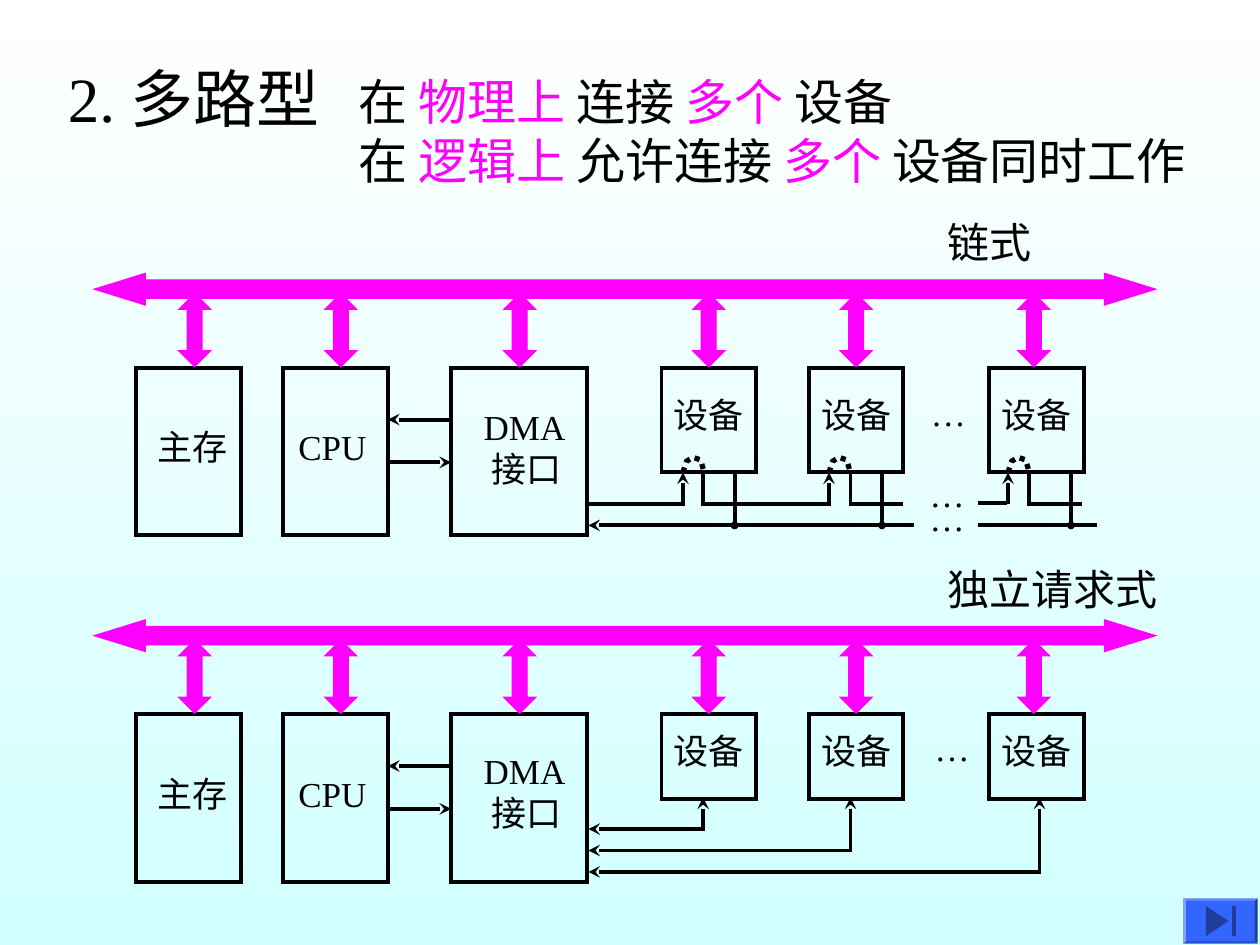
from dataclasses import dataclass

from lxml import etree
from pptx import Presentation
from pptx import util as u
from pptx.dml.color import RGBColor
from pptx.enum import dml, shapes, text
from pptx.oxml.ns import qn
from pptx.shapes.autoshape import Shape
from pptx.slide import Slide

COLOURS = {"ink": "000000", "bus": "FF00FF", "button": "3366FF", "icon": "1F3D99",
           "sky": "FFFFFF", "water": "D2FFFF"}
FONT = "Times New Roman"
SHIFT = 2.75
DEVICE_LEFTS = (5.25, 6.42, 7.85)
BRANCH_LEFTS = (1.42, 2.58, 4, 5.5, 6.67, 8.08)
CHIP_LEFTS = (5.42, 6.58, 8)
TAP_LEFTS = (5.83, 7, 8.5)


@dataclass(frozen=True)
class Span:
    """A piece of text in one colour."""
    words: str
    colour: str = "ink"


@dataclass(frozen=True)
class Label:
    """A text box; each line is a tuple of spans."""
    left: float
    top: float
    width: float
    height: float
    lines: tuple[tuple[Span, ...], ...]
    size: int = 20
    wrap: bool = False


@dataclass(frozen=True)
class Wire:
    """A line through points, with optional end marks."""
    points: tuple[tuple[float, float], ...]
    head: str = ""
    tail: str = ""
    dotted: bool = False


@dataclass(frozen=True)
class Diagram:
    """One way of attaching devices to the DMA interface."""
    shift: float
    device_height: float
    labels: tuple[Label, ...]
    wires: tuple[Wire, ...]


def colour(name: str) -> RGBColor:
    """Look up a named colour."""
    return RGBColor.from_string(COLOURS[name])


def plain(words: str) -> tuple[Span, ...]:
    """Make a line of a single black span."""
    return (Span(words),)


def add_label(page: Slide, label: Label) -> None:
    """Draw a text box span by span."""
    box = page.shapes.add_textbox(*map(u.Inches, (label.left, label.top, label.width, label.height)))
    frame = box.text_frame
    frame.word_wrap = label.wrap
    frame.auto_size = text.MSO_AUTO_SIZE.SHAPE_TO_FIT_TEXT
    for index, line in enumerate(label.lines):
        para = frame.add_paragraph() if index else frame.paragraphs[0]
        for piece in line:
            span = para.add_run()
            span.text = piece.words
            span.font.name = FONT
            span.font.size = u.Pt(label.size)
            span.font.color.rgb = colour(piece.colour)


def set_outline(shape: Shape, name: str, width: float) -> etree.ElementBase:
    """Give a shape a solid outline with sharp corners and return its element."""
    shape.line.color.rgb = colour(name)
    shape.line.width = u.Pt(width)
    outline = shape._element.spPr.find(qn("a:ln"))
    etree.SubElement(outline, qn("a:miter")).set("lim", "800000")
    return outline


def add_wire(page: Slide, wire: Wire, shift: float = 0) -> None:
    """Draw a straight connector or an open bent line."""
    points = [(u.Inches(x), u.Inches(y + shift)) for x, y in wire.points]
    if len(points) == 2:
        shape = page.shapes.add_connector(shapes.MSO_CONNECTOR.STRAIGHT, *points[0], *points[1])
    else:
        builder = page.shapes.build_freeform(*points[0])
        builder.add_line_segments(points[1:], close=False)
        shape = builder.convert_to_shape()
        shape.fill.background()
    outline = set_outline(shape, "ink", 3 if wire.dotted else 2.25)
    if wire.dotted:
        shape.line.dash_style = dml.MSO_LINE.ROUND_DOT
    for tag, mark in (("a:headEnd", wire.head), ("a:tailEnd", wire.tail)):
        if mark:
            end = etree.SubElement(outline, qn(tag), type=mark)
            if mark == "oval":
                end.set("w", "sm")
                end.set("len", "sm")
    etree.SubElement(shape._element.spPr, qn("a:effectLst"))


def add_block(page: Slide, left: float, top: float, width: float, height: float) -> None:
    """Draw an unfilled unit rectangle."""
    block = page.shapes.add_shape(
        shapes.MSO_SHAPE.RECTANGLE, *map(u.Inches, (left, top, width, height)))
    block.shadow.inherit = False
    block.fill.background()
    set_outline(block, "ink", 2.25)


def add_solid(page: Slide, kind: shapes.MSO_SHAPE, place: tuple[float, ...], name: str,
              adjustments: tuple[float, ...] = ()) -> Shape:
    """Draw a filled preset shape without an outline."""
    solid = page.shapes.add_shape(kind, *map(u.Inches, place))
    solid.shadow.inherit = False
    solid.fill.solid()
    solid.fill.fore_color.rgb = colour(name)
    solid.line.fill.background()
    for index, value in enumerate(adjustments):
        solid.adjustments[index] = value
    return solid


def add_diagram(page: Slide, diagram: Diagram) -> None:
    """Draw the bus, its units and the wiring."""
    top = 2.92 + diagram.shift
    for left, width in ((1.08, 0.83), (2.25, 0.83), (3.58, 1.08)):
        add_block(page, left, top, width, 1.33)
    for left in DEVICE_LEFTS:
        add_block(page, left, top, 0.75, diagram.device_height)
    arrows = [add_solid(page, shapes.MSO_SHAPE.LEFT_RIGHT_ARROW,
                        (0.75, 2.17 + diagram.shift, 8.42, 0.25), "bus", (0.583, 1.612))]
    arrows += [add_solid(page, shapes.MSO_SHAPE.UP_DOWN_ARROW,
                         (left, 2.33 + diagram.shift, 0.25, 0.58), "bus", (0.5, 0.466))
               for left in BRANCH_LEFTS]
    for arrow in arrows:
        set_outline(arrow, "bus", 0.75)
    cpu_label = Label(2.27, 3.33 + diagram.shift, 0.74, 0.44, (plain("CPU"),))
    memory_label = Label(1.15, 3.33 + diagram.shift, 0.85, 0.44, (plain("主存"),))
    for label in (memory_label, cpu_label, *diagram.labels):
        add_label(page, label)
    handshake = (Wire(((3.08, 3.67), (3.58, 3.67)), tail="stealth"),
                 Wire(((3.58, 3.33), (3.08, 3.33)), tail="stealth"))
    for wire in handshake + diagram.wires:
        add_wire(page, wire, diagram.shift)


def unit_labels(dma_top: float, device_top: float) -> tuple[Label, ...]:
    """Label the DMA interface and the devices."""
    dma = Label(3.74, dma_top, 0.85, 0.77, (plain("DMA"), plain(" 接口")))
    return (dma, *(Label(left, device_top, 0.85, 0.44, (plain("设备"),)) for left in DEVICE_LEFTS))


CHAIN = Diagram(
    0, 0.83,
    (*unit_labels(3.17, 3.07),
     Label(7.42, 1.67, 1.33, 0.5, (plain("链式"),), 24, True),
     Label(7.29, 3.06, 0.48, 0.44, (plain("…"),)),
     *(Label(7.28, top, 1.5, 0.44, (plain("…"),), wrap=True) for top in (3.89, 3.7))),
    (Wire(((4.67, 4), (5.42, 4), (5.42, 3.75)), tail="stealth"),
     Wire(((5.58, 3.75), (5.58, 4), (6.58, 4), (6.58, 3.75)), tail="stealth"),
     *(Wire(((x, 3.75), (x, 4), (x + 0.42, 4))) for x in (6.75, 8.17)),
     Wire(((8, 4), (8, 3.75)), tail="stealth"),
     Wire(((7.76, 3.99), (7.99, 3.99))),
     Wire(((7.25, 4.17), (4.67, 4.17)), tail="stealth"),
     Wire(((7.76, 4.17), (8.71, 4.17))),
     *(Wire(((x, 3.75), (x, 4.17)), tail="oval") for x in TAP_LEFTS),
     *(Wire(((x, 3.75), (x + 0.03, 3.66), (x + 0.08, 3.63), (x + 0.14, 3.65), (x + 0.17, 3.75)),
            dotted=True) for x in CHIP_LEFTS)))
INDEPENDENT = Diagram(
    SHIFT, 0.67,
    (*unit_labels(5.9, 5.74),
     Label(7.42, 4.42, 2.5, 0.5, (plain("独立请求式"),), 24, True),
     Label(7.32, 5.72, 0.48, 0.44, (plain("…"),))),
    tuple(Wire(((4.67, y), (x, y), (x, 3.58)), "stealth", "stealth")
          for x, y in ((5.58, 3.83), (6.75, 4), (8.25, 4.17))))
HEADINGS = (
    Label(0.44, 0.42, 2.5, 0.7, (plain("2. 多路型"),), 36),
    Label(2.75, 0.52, 7.25, 1.04, (
        (Span("在 "), Span("物理上 ", "bus"), Span("连接 "), Span("多个 ", "bus"), Span("设备")),
        (Span("在 "), Span("逻辑上 ", "bus"), Span("允许连接 "), Span("多个 ", "bus"),
         Span("设备同时工作"))), 28, True))


def main() -> None:
    """Build the slide and save it."""
    deck = Presentation()
    deck.slide_width, deck.slide_height = u.Inches(10), u.Inches(7.5)
    page = deck.slides.add_slide(deck.slide_layouts[6])
    backdrop = page.background.fill
    backdrop.gradient()
    backdrop.gradient_angle = 270
    for stop, name in zip(backdrop.gradient_stops, ("sky", "water")):
        stop.color.rgb = colour(name)
    for heading in HEADINGS:
        add_label(page, heading)
    for diagram in (CHAIN, INDEPENDENT):
        add_diagram(page, diagram)
    add_solid(page, shapes.MSO_SHAPE.BEVEL, (9.39, 7.13, 0.59, 0.36), "button", (0.06,))
    add_solid(page, shapes.MSO_SHAPE.ISOSCELES_TRIANGLE, (9.54, 7.22, 0.24, 0.18), "icon").rotation = 90
    add_solid(page, shapes.MSO_SHAPE.RECTANGLE, (9.78, 7.19, 0.03, 0.24), "icon")
    deck.save("out.pptx")


if __name__ == "__main__":
    main()
